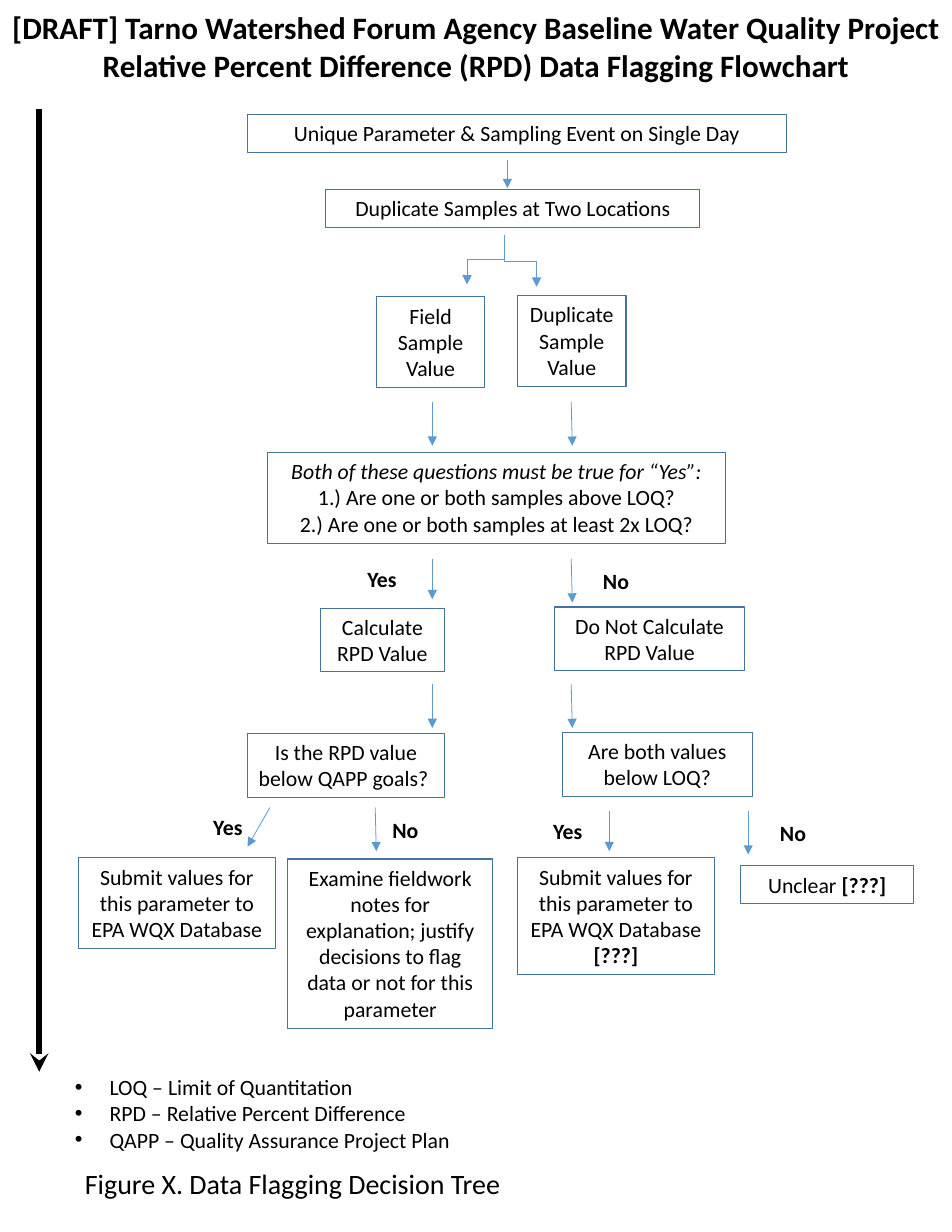
from dataclasses import dataclass

from lxml import etree
from pptx import Presentation
from pptx.dml.color import RGBColor
from pptx.enum.shapes import MSO_CONNECTOR, MSO_SHAPE
from pptx.enum.text import MSO_ANCHOR, MSO_AUTO_SIZE, PP_ALIGN
from pptx.oxml.ns import qn
from pptx.util import Inches, Pt

RECTANGLE = MSO_SHAPE.RECTANGLE
STRAIGHT, ELBOW = MSO_CONNECTOR.STRAIGHT, MSO_CONNECTOR.ELBOW
LEFT, CENTER = PP_ALIGN.LEFT, PP_ALIGN.CENTER
TOP = MSO_ANCHOR.TOP
FIT_SHAPE = MSO_AUTO_SIZE.SHAPE_TO_FIT_TEXT


@dataclass(frozen=True)
class Theme:
    """Colours, font, type sizes and line widths."""
    font: str = "Calibri"
    ink: str = "000000"
    border: str = "43739E"
    arrow: str = "5B9BD5"
    title: int = 20
    caption: int = 18
    body: int = 14
    border_width: float = 0.75
    arrow_width: float = 0.5
    timeline_width: float = 4


THEME = Theme()
BOLD, ITALIC = "bold", "italic"

# Each paragraph is a string or a list of (text, style) spans.
TITLE = ["[DRAFT] Tarno Watershed Forum Agency Baseline Water Quality Project",
         "Relative Percent Difference (RPD) Data Flagging Flowchart"]
CAPTION = ["Figure X. Data Flagging Decision Tree"]
GLOSSARY = ["LOQ – Limit of Quantitation",
            "RPD – Relative Percent Difference",
            "QAPP – Quality Assurance Project Plan"]
SUBMIT = "Submit values for this parameter to EPA WQX Database"

# Box height follows from the number of text lines.
BOX_HEIGHT = {1: 0.34, 2: 0.57, 3: 0.81, 4: 1.04, 6: 1.51}

# (left, top, width, text lines, paragraphs)
STEPS = [
    (2.21, 1.02, 4.81, 1, ["Unique Parameter & Sampling Event on Single Day"]),
    (2.91, 1.69, 3.34, 1, ["Duplicate Samples at Two Locations"]),
    (3.36, 2.65, 0.97, 3, ["Field Sample Value"]),
    (4.62, 2.64, 0.97, 3, ["Duplicate Sample Value"]),
    (2.39, 4.04, 4.09, 3, [
        [("Both of these questions must be true for “Yes”:", ITALIC)],
        "1.) Are one or both samples above LOQ?",
        "2.) Are one or both samples at least 2x LOQ?"]),
    (2.86, 5.43, 1.11, 2, ["Calculate RPD Value"]),
    (4.95, 5.42, 1.70, 2, ["Do Not Calculate RPD Value"]),
    (2.21, 6.55, 1.76, 2, ["Is the RPD value below QAPP goals? "]),
    (5.02, 6.54, 1.70, 2, ["Are both values below LOQ?"]),
    (0.70, 7.66, 1.76, 3, [SUBMIT]),
    (2.57, 7.67, 1.83, 6, ["Examine fieldwork notes for explanation; justify "
                           "decisions to flag data or not for this parameter"]),
    (4.62, 7.66, 1.76, 4, [[(SUBMIT + " ", ""), ("[???]", BOLD)]]),
    (6.61, 7.73, 1.55, 1, [[("Unclear ", ""), ("[???]", BOLD)]]),
]

# (left, top, width, answer)
ANSWERS = [
    (3.07, 5.00, 0.68, "Yes"), (5.26, 5.02, 0.48, "No"),
    (1.73, 7.22, 0.61, "Yes"), (3.38, 7.24, 0.48, "No"),
    (4.73, 7.25, 0.68, "Yes"), (6.84, 7.27, 0.48, "No"),
]

# (start x, start y, end x, end y)
YES_X, NO_X, NO_END_X = 3.86, 5.10, 5.11
ARROWS = [
    (4.53, 1.43, 4.53, 1.68),
    (YES_X, 3.59, YES_X, 3.98), (NO_X, 3.59, NO_END_X, 3.98),
    (YES_X, 4.99, YES_X, 5.35), (NO_X, 4.99, NO_END_X, 5.38),
    (YES_X, 6.11, YES_X, 6.50), (NO_X, 6.11, NO_END_X, 6.50),
    (2.41, 7.21, 2.21, 7.56), (3.35, 7.21, 3.36, 7.60),
    (5.44, 7.24, 5.44, 7.60), (6.68, 7.24, 6.68, 7.63),
]
FORKS = [(4.50, 2.11, 4.79, 2.56), (4.50, 2.10, 4.17, 2.54)]
TIMELINE = (0.35, 0.97, 0.35, 9.57)


def add_bullet(para, indent=0.31):
    """Give a paragraph a bullet and a hanging indent."""
    props = para._p.get_or_add_pPr()
    props.set("marL", str(Inches(indent)))
    props.set("indent", str(-Inches(indent)))
    font = etree.SubElement(props, qn("a:buFont"))
    font.set("typeface", "Arial")
    etree.SubElement(props, qn("a:buChar")).set("char", "•")


def write_text(frame, paragraphs, size=THEME.body, align=CENTER, bold=False,
               bullet=False):
    """Fill a text frame with formatted paragraphs."""
    frame.word_wrap = True
    frame.auto_size = FIT_SHAPE
    frame.vertical_anchor = TOP
    for index, content in enumerate(paragraphs):
        para = frame.add_paragraph() if index else frame.paragraphs[0]
        para.alignment = align
        if bullet:
            add_bullet(para)
        spans = [(content, "")] if isinstance(content, str) else content
        for text, style in spans:
            span = para.add_run()
            span.text = text
            span.font.name = THEME.font
            span.font.size = Pt(size)
            span.font.bold = bold or style == BOLD
            span.font.italic = style == ITALIC
            span.font.color.rgb = RGBColor.from_string(THEME.ink)


def add_label(page, left, top, width, height, paragraphs, **text_format):
    """Add plain text without a frame."""
    label = page.shapes.add_textbox(*map(Inches, (left, top, width, height)))
    write_text(label.text_frame, paragraphs, **text_format)


def add_step(page, left, top, width, lines, paragraphs):
    """Add one outlined flowchart box."""
    area = (left, top, width, BOX_HEIGHT[lines])
    box = page.shapes.add_shape(RECTANGLE, *map(Inches, area))
    box.shadow.inherit = False
    box.fill.background()
    box.line.color.rgb = RGBColor.from_string(THEME.border)
    box.line.width = Pt(THEME.border_width)
    write_text(box.text_frame, paragraphs)


def add_arrow(page, ends, kind=STRAIGHT, color=THEME.arrow,
              width=THEME.arrow_width, head="triangle"):
    """Add a connector with an arrowhead at its end."""
    arrow = page.shapes.add_connector(kind, *map(Inches, ends))
    arrow.line.color.rgb = RGBColor.from_string(color)
    arrow.line.width = Pt(width)
    tail = etree.SubElement(arrow.line._get_or_add_ln(), qn("a:tailEnd"))
    tail.set("type", head)
    etree.SubElement(arrow._element.spPr, qn("a:effectLst"))
    return arrow


def add_fork(page, start_x, start_y, end_x, end_y):
    """Add an elbow arrow that leaves downward: a quarter-turned elbow."""
    middle_x, middle_y = (start_x + end_x) / 2, (start_y + end_y) / 2
    half_drop, half_reach = (end_y - start_y) / 2, abs(end_x - start_x) / 2
    side = 1 if end_x > start_x else -1
    ends = (middle_x + side * half_drop, middle_y - half_reach,
            middle_x - side * half_drop, middle_y + half_reach)
    arrow = add_arrow(page, ends, kind=ELBOW)
    degrees = 270 if side > 0 else 90
    arrow._element.spPr.find(qn("a:xfrm")).set("rot", str(degrees * 60000))


def build():
    """Build the flowchart slide and save it."""
    deck = Presentation()
    deck.slide_width, deck.slide_height = Inches(8.5), Inches(11)
    page = deck.slides.add_slide(deck.slide_layouts[6])

    add_label(page, 0, 0.03, 8.5, 0.77, TITLE, size=THEME.title, bold=True)
    add_arrow(page, TIMELINE, color=THEME.ink, width=THEME.timeline_width,
              head="stealth")
    for step in STEPS:
        add_step(page, *step)
    for ends in ARROWS:
        add_arrow(page, ends)
    for ends in FORKS:
        add_fork(page, *ends)
    for left, top, width, answer in ANSWERS:
        add_label(page, left, top, width, BOX_HEIGHT[1], [answer], bold=True)
    add_label(page, 0.57, 9.54, 6.46, 0.81, GLOSSARY, align=LEFT, bullet=True)
    add_label(page, 0.66, 10.37, 7.53, 0.4, CAPTION, size=THEME.caption,
              align=LEFT)
    deck.save("out.pptx")


build()
